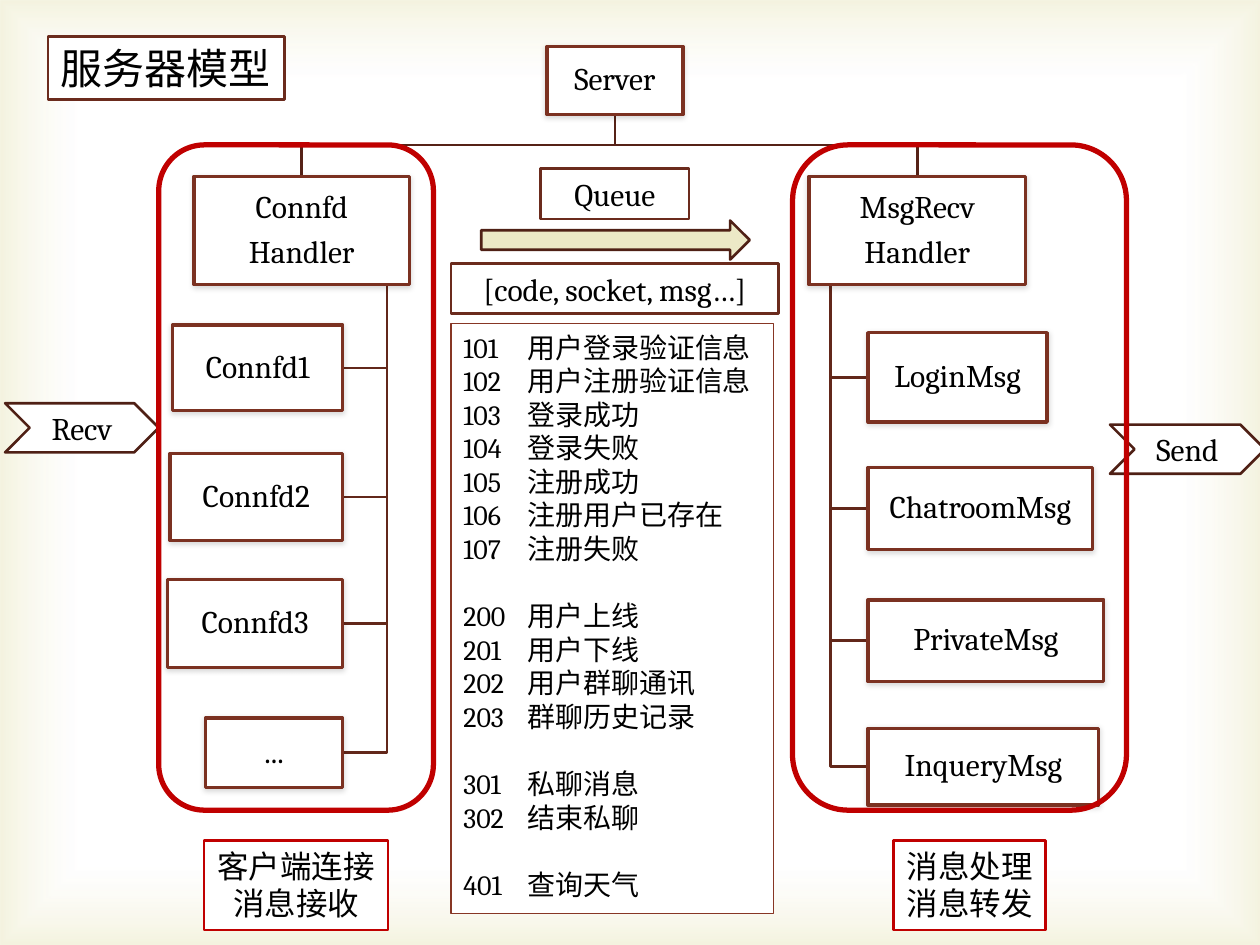
import pptx
import pptx.util
import pptx.dml.color
import pptx.enum.shapes
import pptx.enum.text
import pptx.oxml
import pptx.oxml.ns

SHAPES = pptx.enum.shapes.MSO_SHAPE
ALIGN = pptx.enum.text.PP_ALIGN
ANCHOR = pptx.enum.text.MSO_ANCHOR
NAMESPACE = pptx.oxml.ns.nsdecls("a")

WIDTH, HEIGHT = 10, 7.5
FONT = "Cambria"
BLACK, WHITE, RED = "000000", "FFFFFF", "C00000"
BOX_LINE, BRANCH_LINE, ROOT_LINE = "7B3121", "62271A", "562217"
LABEL_LINE, ARROW_LINE, ARROW_FILL = "6B2B1D", "4F2015", "ECE9C6"

TITLE = ("服务器模型", (0.38, 0.29, 1.88, 0.5))
SERVER = ("Server", (4.34, 0.37, 1.08, 0.54))
BUS_Y = 1.15
BRANCHES = [
    {
        "handler": ("Connfd\nHandler", (1.54, 1.4, 1.71, 0.86)),
        "trunk": 3.07,
        "children": [
            ("Connfd1", (1.37, 2.58, 1.35, 0.68)),
            ("Connfd2", (1.35, 3.6, 1.37, 0.69)),
            ("Connfd3", (1.33, 4.6, 1.39, 0.7)),
            ("...", (1.63, 5.7, 1.09, 0.55)),
        ],
    },
    {
        "handler": ("MsgRecv\nHandler", (6.42, 1.4, 1.72, 0.86)),
        "trunk": 6.59,
        "children": [
            ("LoginMsg", (6.89, 2.64, 1.42, 0.71)),
            ("ChatroomMsg", (6.89, 3.71, 1.78, 0.65)),
            ("PrivateMsg", (6.89, 4.76, 1.87, 0.65)),
            ("InqueryMsg", (6.89, 5.78, 1.83, 0.61)),
        ],
    },
]
QUEUE_ARROW = (3.82, 1.75, 2.13, 0.31)
QUEUE_LABELS = [
    ("Queue", (4.29, 1.34, 1.18, 0.4)),
    ("[code, socket, msg…]", (3.58, 2.09, 2.6, 0.4)),
]
CHEVRONS = [
    ("Recv", (0.04, 3.2, 1.22, 0.39)),
    ("Send", (8.81, 3.37, 1.23, 0.39)),
]
FRAMES = [(1.26, BUS_Y, 2.18, 5.28), (6.29, BUS_Y, 2.65, 5.28)]
CAPTIONS = [
    ("客户端连接\n消息接收", (1.62, 6.67, 1.46, 0.71)),
    ("消息处理\n消息转发", (7.09, 6.67, 1.21, 0.71)),
]
CODES_AREA = (3.58, 2.57, 2.56, 4.68)
CODE_GROUPS = [
    [(101, "用户登录验证信息"), (102, "用户注册验证信息"), (103, "登录成功"),
     (104, "登录失败"), (105, "注册成功"), (106, "注册用户已存在"), (107, "注册失败")],
    [(200, "用户上线"), (201, "用户下线"), (202, "用户群聊通讯"), (203, "群聊历史记录")],
    [(301, "私聊消息"), (302, "结束私聊")],
    [(401, "查询天气")],
]


def color(value):
    return pptx.dml.color.RGBColor.from_string(value)


def inches(*values):
    return [pptx.util.Inches(value) for value in values]


def paint(shape, fill, line, weight):
    shape.shadow.inherit = False
    if fill:
        shape.fill.solid()
        shape.fill.fore_color.rgb = color(fill)
    else:
        shape.fill.background()
    if line:
        shape.line.color.rgb = color(line)
        shape.line.width = pptx.util.Pt(weight)
    else:
        shape.line.fill.background()


def write(shape, text, size=18, align=ALIGN.CENTER, anchor=ANCHOR.TOP,
          inset=None, wrap=True, spacing=None, after=0):
    frame = shape.text_frame
    frame.text = text
    frame.word_wrap = wrap
    frame.vertical_anchor = anchor
    frame.auto_size = pptx.enum.text.MSO_AUTO_SIZE.NONE
    sides, ends = (0.1, 0.05) if inset is None else (inset, inset)
    frame.margin_left = frame.margin_right = pptx.util.Inches(sides)
    frame.margin_top = frame.margin_bottom = pptx.util.Inches(ends)
    for paragraph in frame.paragraphs:
        paragraph.alignment = align
        paragraph.line_spacing = spacing
        paragraph.space_before = pptx.util.Pt(0)
        paragraph.space_after = pptx.util.Pt(after)
        for run in paragraph.runs:
            run.font.size = pptx.util.Pt(size)
            run.font.name = FONT
            run.font.color.rgb = color(BLACK)
    return frame


def add_figure(slide, kind, area, fill=WHITE, line=LABEL_LINE, weight=1.5):
    shape = slide.shapes.add_shape(kind, *inches(*area))
    paint(shape, fill, line, weight)
    return shape


def add_path(slide, points, line):
    start, *rest = [tuple(inches(*point)) for point in points]
    builder = slide.shapes.build_freeform(*start, scale=1.0)
    builder.add_line_segments(rest, close=False)
    paint(builder.convert_to_shape(), None, line, 1.5)


def add_box(slide, text, area):
    shape = add_figure(slide, SHAPES.RECTANGLE, area, line=BOX_LINE, weight=2)
    effects = shape._element.spPr.find(pptx.oxml.ns.qn("a:effectLst"))
    effects.append(pptx.oxml.parse_xml(
        f'<a:outerShdw {NAMESPACE} blurRad="38100" dist="12700" dir="5400000">'
        f'<a:srgbClr val="{BLACK}"><a:alpha val="15000"/></a:srgbClr></a:outerShdw>'))
    write(shape, text, anchor=ANCHOR.MIDDLE, inset=0.01, spacing=0.9, after=6.3)


def add_backdrop(slide):
    shape = add_figure(slide, SHAPES.RECTANGLE, (0, 0, WIDTH, HEIGHT), line=None)
    solid = shape._element.spPr.find(pptx.oxml.ns.qn("a:solidFill"))
    stops = "".join(
        f'<a:gs pos="{share}000"><a:srgbClr val="{value}"><a:alpha val="{alpha}000"/></a:srgbClr></a:gs>'
        for share, value, alpha in [(83, WHITE, 11), (100, "D1CA75", 23)])
    gradient = pptx.oxml.parse_xml(
        f'<a:gradFill {NAMESPACE} rotWithShape="1"><a:gsLst>{stops}</a:gsLst>'
        '<a:path path="rect"><a:fillToRect l="50000" t="50000" r="50000" b="50000"/></a:path></a:gradFill>')
    solid.getparent().replace(solid, gradient)
    slide.shapes._spTree.insert(2, shape._element)


def add_tree(slide):
    left, top, width, height = SERVER[1]
    root_x, root_y = left + width / 2, top + height
    for branch in BRANCHES:
        left, top, width, height = branch["handler"][1]
        center = left + width / 2
        add_path(slide, [(root_x, root_y), (root_x, BUS_Y), (center, BUS_Y), (center, top)], ROOT_LINE)
        trunk = branch["trunk"]
        for _, (child_left, child_top, child_width, child_height) in branch["children"]:
            middle = child_top + child_height / 2
            edge = child_left if child_left > trunk else child_left + child_width
            add_path(slide, [(trunk, top + height), (trunk, middle), (edge, middle)], BRANCH_LINE)
    for text, area in [SERVER] + [box for branch in BRANCHES for box in [branch["handler"], *branch["children"]]]:
        add_box(slide, text, area)


def add_codes(slide):
    shape = add_figure(slide, SHAPES.RECTANGLE, CODES_AREA, line="873624", weight=0.75)
    text = "\n".join(f"{code}\t{meaning}" for group in CODE_GROUPS for code, meaning in group)
    frame = write(shape, text, size=16, align=ALIGN.LEFT, wrap=False)
    starts = {str(group[0][0]) for group in CODE_GROUPS[1:]}
    for paragraph in frame.paragraphs:
        properties = paragraph._p.get_or_add_pPr()
        properties.set("marL", str(pptx.util.Inches(0.51)))
        properties.set("indent", str(pptx.util.Inches(-0.51)))
        if paragraph.text[:3] in starts:
            paragraph.space_before = pptx.util.Pt(19.2)


def main():
    presentation = pptx.Presentation()
    presentation.slide_width, presentation.slide_height = inches(WIDTH, HEIGHT)
    slide = presentation.slides.add_slide(presentation.slide_layouts[5])
    add_backdrop(slide)

    title = slide.shapes.title
    text, area = TITLE
    title.left, title.top, title.width, title.height = inches(*area)
    paint(title, WHITE, LABEL_LINE, 1.5)
    write(title, text, size=24, align=ALIGN.LEFT, wrap=False)

    add_tree(slide)
    add_figure(slide, SHAPES.RIGHT_ARROW, QUEUE_ARROW, fill=ARROW_FILL, line=ARROW_LINE)
    for text, area in QUEUE_LABELS:
        write(add_figure(slide, SHAPES.RECTANGLE, area), text)
    for text, area in CHEVRONS:
        write(add_figure(slide, SHAPES.CHEVRON, area, line=ARROW_LINE), text, anchor=ANCHOR.MIDDLE)
    for area in FRAMES:
        add_figure(slide, SHAPES.ROUNDED_RECTANGLE, area, fill=None, line=RED, weight=3)
    for text, area in CAPTIONS:
        write(add_figure(slide, SHAPES.RECTANGLE, area, line=RED), text, wrap=False)
    add_codes(slide)
    presentation.save("out.pptx")


if __name__ == "__main__":
    main()
